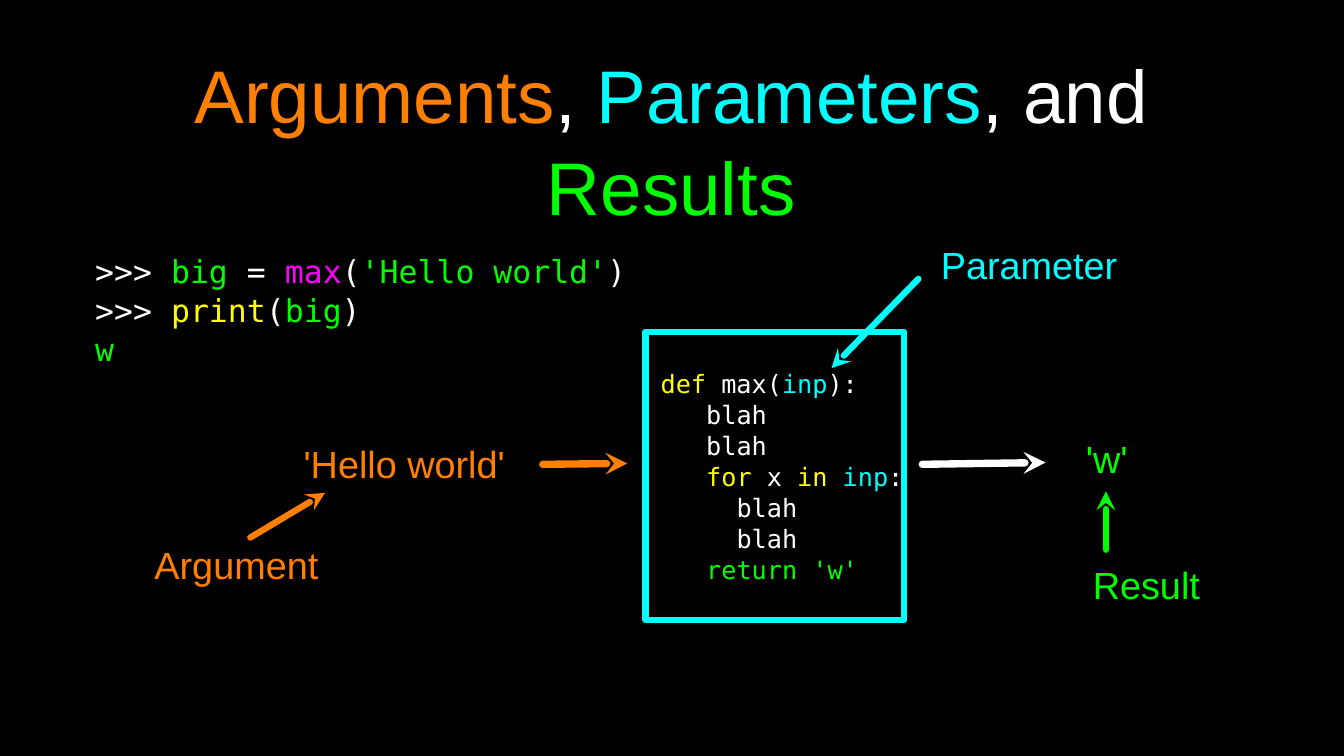
from dataclasses import dataclass

from lxml import etree
from pptx import Presentation
from pptx.dml.color import RGBColor
from pptx.enum.shapes import MSO_CONNECTOR, MSO_SHAPE
from pptx.enum.text import MSO_ANCHOR, PP_ALIGN
from pptx.oxml.ns import qn
from pptx.util import Cm, Pt

RECTANGLE = MSO_SHAPE.RECTANGLE
STRAIGHT = MSO_CONNECTOR.STRAIGHT
MIDDLE = MSO_ANCHOR.MIDDLE
LEFT, CENTER = PP_ALIGN.LEFT, PP_ALIGN.CENTER


@dataclass(frozen=True)
class Theme:
    """Colours, fonts and sizes of the slide."""
    black: str = "000000"
    white: str = "FFFFFF"
    orange: str = "FF7F00"
    cyan: str = "00FFFF"
    green: str = "00FF00"
    magenta: str = "FF00FF"
    yellow: str = "FFFF00"
    sans: str = "Arial"
    mono: str = "DejaVu Sans Mono"
    title: int = 71
    label: int = 36
    session: int = 30
    function: int = 24
    spacing: float = 1.03
    column: float = 0.51  # width in cm of one character of function code


T = Theme()

# Each line is a list of (text, colour) runs.
TITLE = [[("Arguments", T.orange), (", ", T.white), ("Parameters", T.cyan),
          (", and ", T.white), ("Results", T.green)]]

SESSION = [
    [(">>> ", T.white), ("big", T.green), (" = ", T.white),
     ("max", T.magenta), ("(", T.white), ("'Hello world'", T.green),
     (")", T.white)],
    [(">>> ", T.white), ("print", T.yellow), ("(", T.white),
     ("big", T.green), (")", T.white)],
    [("w", T.green)],
]

BLAH = [("blah", T.white)]
FUNCTION = [
    [("def", T.yellow), (" max(", T.white), ("inp", T.cyan), ("):", T.white)],
    BLAH,
    BLAH,
    [("for", T.yellow), (" x ", T.white), ("in ", T.yellow),
     ("inp", T.cyan), (":", T.white)],
    BLAH,
    BLAH,
    [("return 'w'", T.green)],
]
FUNCTION_COLUMNS = [1, 4, 4, 4, 6, 6, 4]

# text, colour, left, top, width
LABELS = [
    ("'Hello world' ", T.orange, 9.8, 14.68, 7.92),
    ("'w'", T.green, 36.3, 14.53, 1.78),
    ("Argument", T.orange, 4.72, 18.06, 6.45),
    ("Parameter", T.cyan, 31.14, 7.98, 6.88),
    ("Result", T.green, 36.17, 18.75, 4.7),
]
LABEL_HEIGHT = 1.73

# colour, line width, start, tip
ARROWS = [
    (T.orange, 7, (18.24, 15.6), (21.08, 15.57)),
    (T.white, 7, (30.99, 15.6), (35.13, 15.54)),
    (T.orange, 6, (8.41, 18.06), (10.92, 16.56)),
    (T.cyan, 6, (30.86, 9.37), (27.94, 12.37)),
    (T.green, 6, (37.16, 18.47), (37.16, 16.51)),
]


def rgb(value):
    """Turn a hex string into a colour."""
    return RGBColor.from_string(value)


def write_lines(sp, lines, font, size, align=LEFT, inset=0.0, columns=None):
    """Fill a shape with coloured lines, indented by character columns."""
    tf = sp.text_frame
    tf.word_wrap = True
    tf.vertical_anchor = MIDDLE
    tf.margin_left = tf.margin_right = Cm(inset)
    tf.margin_top = tf.margin_bottom = Cm(inset)
    for i, line in enumerate(lines):
        p = tf.add_paragraph() if i else tf.paragraphs[0]
        p.alignment = align
        p.line_spacing = T.spacing
        if columns:
            indent = Cm(columns[i] * T.column)
            p._p.get_or_add_pPr().set("marL", str(indent))
        for text, color in line:
            r = p.add_run()
            r.text = text
            r.font.name = font
            r.font.size = Pt(size)
            r.font.color.rgb = rgb(color)


def add_text(s, box, lines, font, size, **options):
    """Add a text box; box is left, top, width, height in cm."""
    sp = s.shapes.add_textbox(*map(Cm, box))
    write_lines(sp, lines, font, size, **options)


def add_function_box(s):
    """Add the outlined box that holds the function's code."""
    sp = s.shapes.add_shape(RECTANGLE, Cm(21.69), Cm(11.15), Cm(8.69), Cm(9.68))
    sp.shadow.inherit = False
    sp.fill.background()
    sp.line.color.rgb = rgb(T.cyan)
    sp.line.width = Pt(6)
    etree.SubElement(sp.line._get_or_add_ln(), qn("a:round"))
    write_lines(sp, FUNCTION, T.mono, T.function, columns=FUNCTION_COLUMNS)


def add_arrow(s, color, width, start, tip):
    """Add a round-ended line with a stealth head at its tip."""
    line = s.shapes.add_connector(STRAIGHT, *map(Cm, start + tip))
    line.line.color.rgb = rgb(color)
    line.line.width = Pt(width)
    ln = line.line._get_or_add_ln()
    ln.set("cap", "rnd")
    etree.SubElement(ln, qn("a:round"))
    etree.SubElement(ln, qn("a:tailEnd"), type="stealth")
    etree.SubElement(line._element.spPr, qn("a:effectLst"))


def main():
    """Build and save the slide."""
    prs = Presentation()
    prs.slide_width, prs.slide_height = Cm(45.16), Cm(25.4)
    s = prs.slides.add_slide(prs.slide_layouts[6])
    s.background.fill.solid()
    s.background.fill.fore_color.rgb = rgb(T.black)

    add_text(s, (3.2, 2.24, 38.71, 4.83), TITLE, T.sans, T.title,
             align=CENTER, inset=0.1)
    add_text(s, (3.2, 8.08, 20.98, 4.62), SESSION, T.mono, T.session)
    add_function_box(s)
    for text, color, left, top, width in LABELS:
        add_text(s, (left, top, width, LABEL_HEIGHT), [[(text, color)]],
                 T.sans, T.label, align=CENTER)
    for arrow in ARROWS:
        add_arrow(s, *arrow)
    prs.save("out.pptx")


main()
